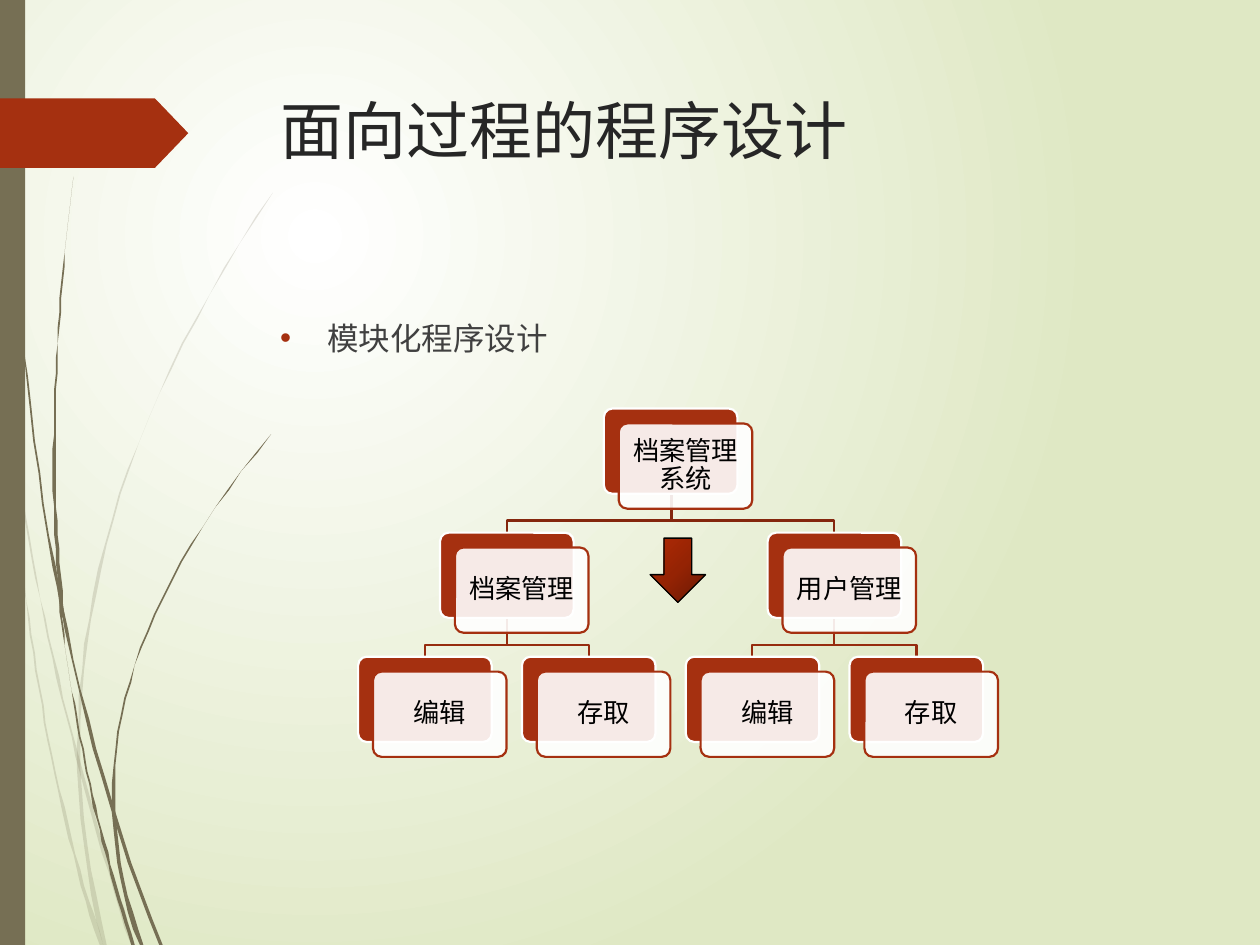
import lxml.etree
import pptx
import pptx.dml.color
import pptx.enum.shapes
import pptx.enum.text
import pptx.oxml.ns
import pptx.util

Pt = pptx.util.Pt
Kind = pptx.enum.shapes.MSO_SHAPE
Align = pptx.enum.text.PP_ALIGN
Anchor = pptx.enum.text.MSO_ANCHOR
qn = pptx.oxml.ns.qn

FACE = "TeX Gyre Adventor"
RED, OLIVE, WHITE, BLACK = "A53010", "766F54", "FFFFFF", "000000"
LINKS = {1: "84260D", 2: "962C0F"}

LEAVES = [("编辑", []), ("存取", [])]
TREE = ("档案管理系统", [("档案管理", LEAVES), ("用户管理", LEAVES)])

PALE = {
    "left": [(2, 205), (13, 317), (42, 437), (76, 540)],
    "inner": [(6, 252), (13, 353), (30, 458), (58, 540)],
    "tall": [(156, 110), (58, 254), (22, 397), (60, 540)],
}
DARK = {
    "left": [(2, 0), (6, 202), (29, 387), (92, 540)],
    "inner": [(34, 343), (41, 408), (55, 474), (76, 540)],
    "upright": [(42, 101), (31, 185), (27, 278), (36, 353)],
    "right": [(155, 248), (66, 356), (46, 446), (81, 540)],
}


def tint(text):
    return pptx.dml.color.RGBColor.from_string(text)


def put(item, values):
    for name, value in values.items():
        setattr(item, name, value)


def paint(shape, fill, line=None, width=1.25, alpha=100):
    shape.shadow.inherit = False
    if fill:
        shape.fill.solid()
        shape.fill.fore_color.rgb = tint(fill)
        if alpha < 100:
            mark = shape.element.spPr.find(".//" + qn("a:srgbClr"))
            lxml.etree.SubElement(mark, qn("a:alpha"), val=str(alpha * 1000))
    else:
        shape.fill.background()
    if line:
        put(shape.line, {"width": Pt(width)})
        shape.line.color.rgb = tint(line)
    else:
        shape.line.fill.background()


def glow(root, stops, rect):
    old = root.find(".//" + qn("a:solidFill"))
    grad = lxml.etree.Element(qn("a:gradFill"), rotWithShape="1")
    items = lxml.etree.SubElement(grad, qn("a:gsLst"))
    for pos, color in stops:
        stop = lxml.etree.SubElement(items, qn("a:gs"), pos=str(pos * 1000))
        lxml.etree.SubElement(stop, qn("a:srgbClr"), val=color)
    path = lxml.etree.SubElement(grad, qn("a:path"), path="circle")
    sides = {side: str(part * 1000) for side, part in zip("ltrb", rect)}
    lxml.etree.SubElement(path, qn("a:fillToRect"), sides)
    old.getparent().replace(old, grad)


def add_shape(slide, kind, x, y, w, h):
    return slide.shapes.add_shape(kind, Pt(x), Pt(y), Pt(w), Pt(h))


def add_box(slide, x, y, w, h):
    return slide.shapes.add_textbox(Pt(x), Pt(y), Pt(w), Pt(h)).text_frame


def trace(slide, x, y, dots, close):
    pen = slide.shapes.build_freeform(*dots[0], scale=Pt(1))
    pen.add_line_segments(dots[1:], close=close)
    return pen.convert_to_shape(Pt(x), Pt(y))


def write(frame, text, size, color, para):
    frame.word_wrap = True
    line = frame.paragraphs[0]
    line.text = text
    put(line, para)
    put(line.runs[0].font, {"size": Pt(size), "name": FACE})
    line.runs[0].font.color.rgb = tint(color)
    return line


def bend(curve, t):
    s = 1 - t
    parts = (s ** 3, 3 * s * s * t, 3 * s * t * t, t ** 3)
    return [sum(part * value for part, value in zip(parts, axis)) for axis in zip(*curve)]


def add_blade(slide, x, y, curve, alpha):
    tip, root, steps = 0.5, 2.8, 30
    left, right = [], []
    for step in range(steps + 1):
        t = step / steps
        mid, down = bend(curve, t)
        half = (tip + (root - tip) * t * t) / 2
        left.append((mid - half, down))
        right.append((mid + half, down))
    paint(trace(slide, x, y, left + right[::-1], True), OLIVE, alpha=alpha)


def add_grass(slide, x, y):
    for blades, alpha in ((PALE, 20), (DARK, 100)):
        for curve in blades.values():
            add_blade(slide, x, y, curve, alpha)


def add_edge(slide, x, y, w, h):
    paint(add_shape(slide, Kind.RECTANGLE, x, y, w, h), OLIVE)
    tag = add_shape(slide, Kind.PENTAGON, x, y + 56.2, 107.6, 39.8)
    tag.adjustments[0] = 0.48
    paint(tag, RED)


def add_title(slide, x, y, w, h):
    write(add_box(slide, x, y, w, h), "面向过程的程序设计", 36, "262626", {})


def add_body(slide, x, y, w, h):
    line = write(add_box(slide, x, y, w, h), "模块化程序设计", 18, "404040",
                 {"line_spacing": 1.5})
    props = line._p.get_or_add_pPr()
    for name, value in {"marL": Pt(27), "indent": Pt(-27)}.items():
        props.set(name, str(int(value)))
    color = lxml.etree.SubElement(props, qn("a:buClr"))
    lxml.etree.SubElement(color, qn("a:srgbClr"), val=RED)
    lxml.etree.SubElement(props, qn("a:buFont"), typeface="Arial")
    lxml.etree.SubElement(props, qn("a:buChar"), char="•")


def add_card(slide, x, y, w, h, text):
    shift = 8.5
    for step, fill, line, alpha in ((0, RED, WHITE, 100), (shift, WHITE, RED, 90)):
        card = add_shape(slide, Kind.ROUNDED_RECTANGLE, x + step, y + step, w, h)
        card.adjustments[0] = 0.1
        paint(card, fill, line, alpha=alpha)
    frame = card.text_frame
    sides = ("margin_left", "margin_top", "margin_right", "margin_bottom")
    put(frame, dict.fromkeys(sides, Pt(4.5)))
    put(frame, {"vertical_anchor": Anchor.MIDDLE})
    write(frame, text, 15, BLACK, {"alignment": Align.CENTER, "line_spacing": 0.9})


def lay_out(node, first, row, cards, links):
    text, kids = node
    cols, free = [], first
    for kid in kids:
        col, free = lay_out(kid, free, row + 1, cards, links)
        cols.append(col)
    here = sum(cols) / len(cols) if cols else first
    cards.append((here, row, text))
    links.extend((here, col, row + 1) for col in cols)
    return here, max(free, first + 1)


def add_tree(slide, x, y):
    w, h, step, rise, drop = 76.3, 48.7, 93.6, 70.9, 15.2
    cards, links = [], []
    lay_out(TREE, 0, 0, cards, links)
    for start, end, row in links:
        head, foot = start * step + w / 2, end * step + w / 2
        top = (row - 1) * rise + h
        elbow = [(head, top), (head, top + drop), (foot, top + drop), (foot, row * rise)]
        paint(trace(slide, x, y, elbow, False), None, LINKS[row])
    for col, row, text in cards:
        add_card(slide, x + col * step, y + row * rise, w, h, text)


def add_arrow(slide, x, y, w, h):
    arrow = add_shape(slide, Kind.DOWN_ARROW, x, y, w, h)
    paint(arrow, RED, BLACK, 0.75)
    stops = [(0, "681903"), (50, "952304"), (100, "B02A05")]
    glow(arrow.element.spPr, stops, (100, 100, 0, 0))


def main():
    deck = pptx.Presentation()
    put(deck, {"slide_width": Pt(720), "slide_height": Pt(540)})
    slide = deck.slides.add_slide(deck.slide_layouts[6])
    slide.background.fill.solid()
    slide.background.fill.fore_color.rgb = tint(WHITE)
    glow(slide.element, [(0, WHITE), (100, "DFE8C4")], (50, 50, 100, 100))
    add_grass(slide, 0, 0)
    add_edge(slide, 0, 0, 14.4, 540)
    add_title(slide, 153, 49, 519, 101)
    add_body(slide, 153, 168, 519, 297)
    add_tree(slide, 204.7, 233.5)
    add_arrow(slide, 371.5, 307.5, 31.7, 36.7)
    deck.save("out.pptx")


if __name__ == "__main__":
    main()
